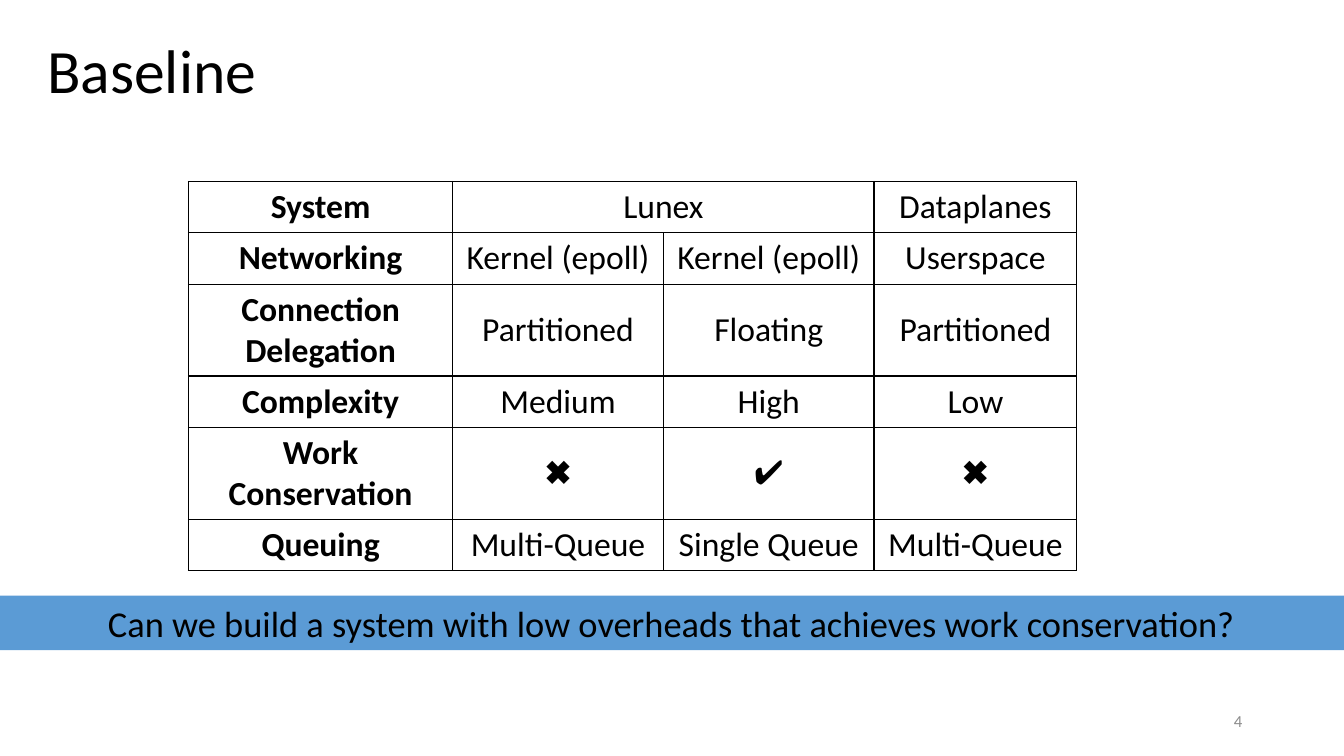
from lxml import etree
from pptx import Presentation
from pptx.dml.color import RGBColor
from pptx.enum.shapes import MSO_SHAPE
from pptx.enum.text import MSO_ANCHOR, PP_ALIGN
from pptx.oxml.ns import qn
from pptx.util import Pt

RECTANGLE = MSO_SHAPE.RECTANGLE
TOP, MIDDLE = MSO_ANCHOR.TOP, MSO_ANCHOR.MIDDLE
LEFT, CENTER, RIGHT = PP_ALIGN.LEFT, PP_ALIGN.CENTER, PP_ALIGN.RIGHT
EMU_PER_PX = 9144
FONT = "Calibri"
BLACK, GRAY, BLUE = "000000", "8C8C8C", "5B9BD5"

SYSTEMS = [
    ["System", "Lunex", "", "Dataplanes"],
    ["Networking", "Kernel (epoll)", "Kernel (epoll)", "Userspace"],
    ["Connection Delegation", "Partitioned", "Floating", "Partitioned"],
    ["Complexity", "Medium", "High", "Low"],
    ["Work Conservation", "✖️", "✔️", "✖️"],
    ["Queuing", "Multi-Queue", "Single Queue", "Multi-Queue"],
]
COLUMN_WIDTHS = [262, 209, 209, 201]
ROW_HEIGHT = 41
CELL_BOTTOM = 6


def px(*lengths):
    return [length * EMU_PER_PX for length in lengths]


def color(value):
    return RGBColor.from_string(value)


def write(frame, text, size=24, ink=BLACK, bold=False, align=CENTER, spacing=None):
    para = frame.paragraphs[0]
    para.alignment = align
    para.line_spacing = spacing
    span = para.add_run()
    span.text = text
    span.font.name = FONT
    span.font.size = Pt(size)
    span.font.bold = bold
    span.font.color.rgb = color(ink)


class SlideBuilder:
    """Draws styled elements on the current slide."""

    def __init__(self, deck):
        self.page = deck.slides.add_slide(deck.slide_layouts[6])

    def text(self, area, text, **style):
        box = self.page.shapes.add_textbox(*px(*area))
        box.text_frame.word_wrap = True
        box.text_frame.vertical_anchor = MIDDLE
        write(box.text_frame, text, **style)

    def banner(self, area, text, fill, **style):
        bar = self.page.shapes.add_shape(RECTANGLE, *px(*area))
        bar.shadow.inherit = False
        bar.fill.solid()
        bar.fill.fore_color.rgb = color(fill)
        bar.line.fill.background()
        bar.text_frame.word_wrap = True
        bar.text_frame.vertical_anchor = TOP
        write(bar.text_frame, text, **style)

    def border(self, cell):
        properties = cell._tc.get_or_add_tcPr()
        for side in ("a:lnL", "a:lnR", "a:lnT", "a:lnB"):
            line = etree.SubElement(properties, qn(side), w=str(Pt(1)))
            fill = etree.SubElement(line, qn("a:solidFill"))
            etree.SubElement(fill, qn("a:srgbClr"), val=BLACK)

    def table(self, left, top, rows, widths, row_height):
        area = px(left, top, sum(widths), row_height * len(rows))
        table = self.page.shapes.add_table(len(rows), len(widths), *area).table
        table.first_row = table.horz_banding = False
        for column, width in zip(table.columns, px(*widths)):
            column.width = width
        for r, row in enumerate(rows):
            table.rows[r].height = row_height * EMU_PER_PX
            for c, text in enumerate(row):
                cell = table.cell(r, c)
                self.border(cell)
                cell.fill.background()
                cell.vertical_anchor = MIDDLE
                cell.margin_bottom = CELL_BOTTOM * EMU_PER_PX
                if text:
                    write(cell.text_frame, text, bold=c == 0)
        return table


def main():
    deck = Presentation()
    deck.slide_width, deck.slide_height = px(1333, 750)
    slide = SlideBuilder(deck)
    slide.text((942, 695, 300, 40), "4", size=12, ink=GRAY, align=RIGHT)
    systems = slide.table(187, 180, SYSTEMS, COLUMN_WIDTHS, ROW_HEIGHT)
    systems.cell(0, 1).merge(systems.cell(0, 2))
    slide.banner(
        (0, 591, 1333, 54),
        "Can we build a system with low overheads that achieves work conservation?",
        BLUE,
        size=26,
    )
    slide.text((37, 0, 1178, 145), "Baseline", size=44, align=LEFT, spacing=0.9)
    deck.save("out.pptx")


if __name__ == "__main__":
    main()
